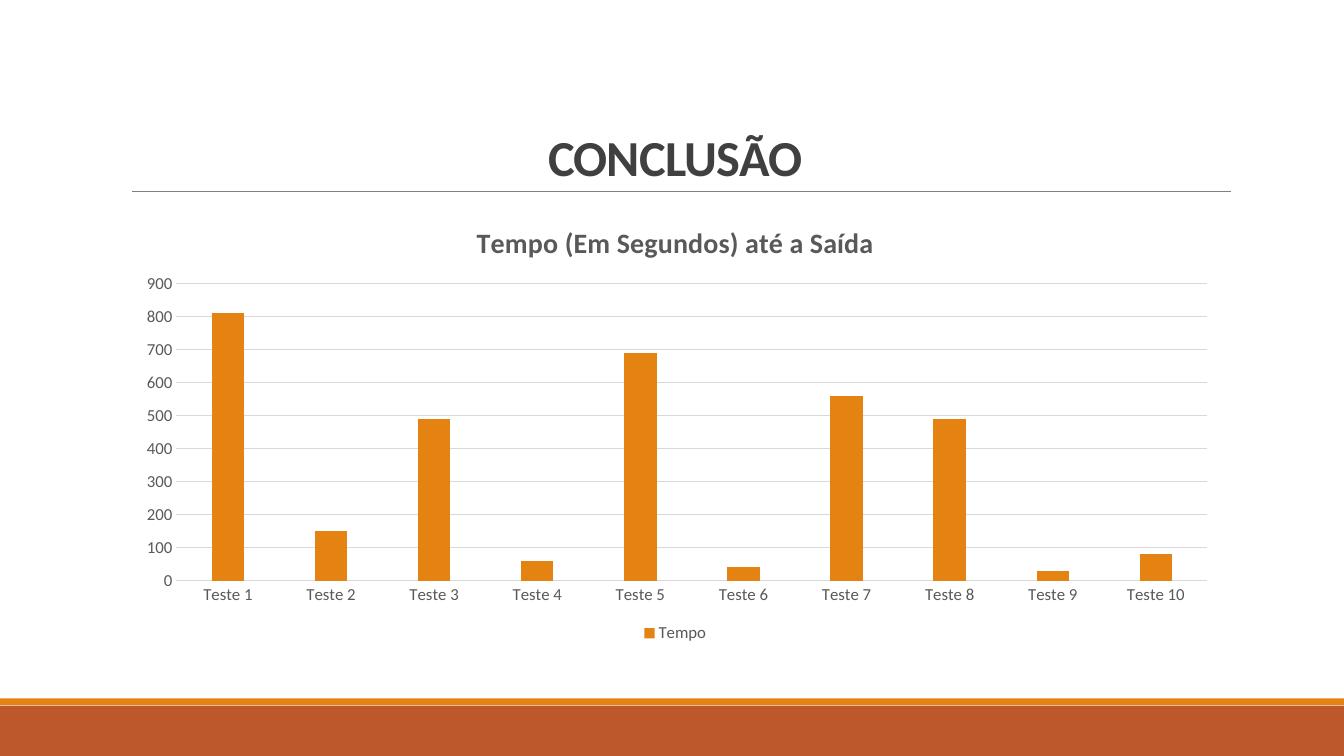
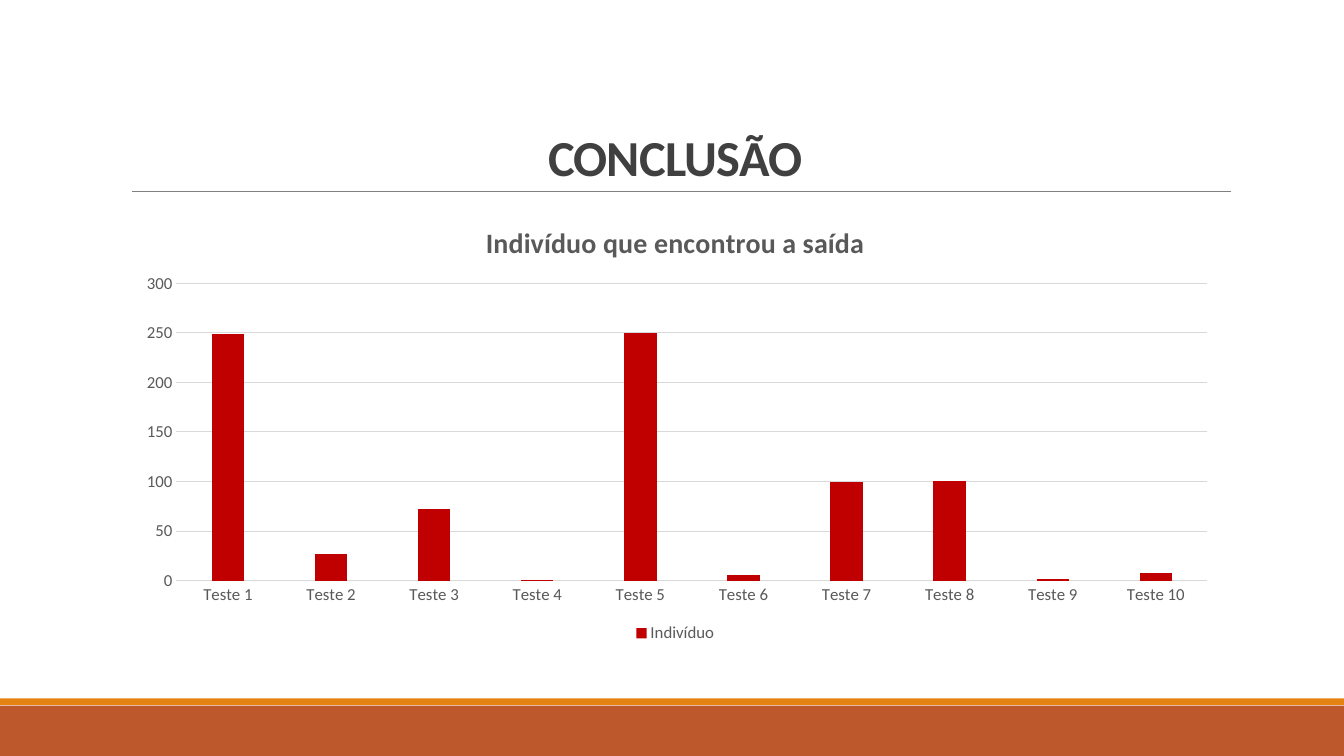
from lxml.etree import SubElement
from pptx import Presentation
from pptx.chart.data import CategoryChartData
from pptx.dml.color import RGBColor
from pptx.enum.chart import XL_CHART_TYPE, XL_LEGEND_POSITION, XL_TICK_MARK
from pptx.enum.shapes import MSO_CONNECTOR, MSO_SHAPE
from pptx.enum.text import MSO_ANCHOR, PP_ALIGN
from pptx.oxml import parse_xml
from pptx.oxml.ns import nsdecls, qn
from pptx.util import Cm, Pt

FONT = "Calibri"
ORANGE = RGBColor(0xE4, 0x83, 0x12)
RUST = RGBColor(0xBD, 0x58, 0x2C)
RED = RGBColor(0xC0, 0x00, 0x00)
DARK = RGBColor(0x40, 0x40, 0x40)
GRAY = RGBColor(0x59, 0x59, 0x59)
RULE = RGBColor(0x80, 0x80, 0x80)
GRID = RGBColor(0xD9, 0xD9, 0xD9)

WIDTH, HEIGHT = Cm(33.87), Cm(19.05)
LEFT, SPAN = Cm(3.05), Cm(27.94)
TESTS = [f"Teste {n}" for n in range(1, 11)]

# Chart title, series name, bar colour, values
CHARTS = [
    ("Tempo (Em Segundos) até a Saída", "Tempo", ORANGE,
     [810, 150, 490, 60, 690, 40, 560, 490, 30, 80]),
    ("Indivíduo que encontrou a saída", "Indivíduo", RED,
     [249, 27, 72, 1, 250, 6, 99, 100, 2, 8]),
]


def style(font, size, color, bold=False):
    font.name, font.size, font.bold = FONT, Pt(size), bold
    font.color.rgb = color


def add_text(frame, text, size=12, color=GRAY, bold=False, align=None,
             lines=None, track=None):
    para = frame.paragraphs[0]
    para.alignment, para.line_spacing = align, lines
    run = para.add_run()
    run.text = text
    style(run.font, size, color, bold)
    if track is not None:
        run.font._element.set("spc", str(int(track * 100)))


def add_band(slide, top, height, color):
    band = slide.shapes.add_shape(MSO_SHAPE.RECTANGLE, 0, top, WIDTH, height)
    band.shadow.inherit = False
    band.fill.solid()
    band.fill.fore_color.rgb = color
    band.line.fill.background()


def add_rule(slide, start, end, top):
    rule = slide.shapes.add_connector(MSO_CONNECTOR.STRAIGHT, start, top, end, top)
    rule.line.color.rgb = RULE
    rule.line.width = Pt(0.5)
    SubElement(rule._element.spPr, qn("a:effectLst"))


def add_title(slide, text):
    box = slide.shapes.add_textbox(LEFT, Cm(0.79), SPAN, Cm(4.04))
    frame = box.text_frame
    frame.word_wrap = True
    frame.vertical_anchor = MSO_ANCHOR.BOTTOM
    add_text(frame, text, size=36, color=DARK, bold=True,
             align=PP_ALIGN.CENTER, lines=0.85, track=-0.5)


def add_frame(slide):
    add_band(slide, Cm(17.78), Cm(1.27), RUST)
    add_band(slide, Cm(17.6), Cm(0.17), ORANGE)
    add_rule(slide, Cm(3.33), Cm(31.01), Cm(4.83))
    add_title(slide, "CONCLUSÃO")


def set_plot(chart, x, y, w, h):
    """Fix the inner plot area, in shares of the chart."""
    area = chart._chartSpace.chart.plotArea
    for old in area.findall(qn("c:layout")):
        area.remove(old)
    sizes = "".join(f'<c:{key} val="{val}"/>'
                    for key, val in zip("xywh", (x, y, w, h)))
    area.insert(0, parse_xml(
        f'<c:layout {nsdecls("c")}><c:manualLayout>'
        '<c:layoutTarget val="inner"/><c:xMode val="edge"/>'
        f'<c:yMode val="edge"/>{sizes}</c:manualLayout></c:layout>'))


def set_axes(chart):
    for axis in (chart.category_axis, chart.value_axis):
        axis.major_tick_mark = axis.minor_tick_mark = XL_TICK_MARK.NONE
        style(axis.tick_labels.font, 12, GRAY)
    grid = chart.value_axis.major_gridlines.format.line
    for line in (chart.category_axis.format.line, grid):
        line.color.rgb = GRID
        line.width = Pt(0.75)
    chart.value_axis.format.line.fill.background()


def add_bars(slide, title, name, color, values):
    data = CategoryChartData()
    data.categories = TESTS
    data.add_series(name, values)
    chart = slide.shapes.add_chart(XL_CHART_TYPE.COLUMN_CLUSTERED, LEFT,
                                   Cm(5.13), SPAN, Cm(11.18), data).chart
    style(chart.font, 10, GRAY)
    add_text(chart.chart_title.text_frame, title, size=20, bold=True)
    chart.chart_title.include_in_layout = False
    # Bars
    plot = chart.plots[0]
    plot.vary_by_categories = False
    plot.gap_width, plot.overlap = 219, -27
    fill = plot.series[0].format.fill
    fill.solid()
    fill.fore_color.rgb = color
    # Axes and legend
    set_axes(chart)
    chart.has_legend = True
    chart.legend.position = XL_LEGEND_POSITION.BOTTOM
    chart.legend.include_in_layout = False
    style(chart.legend.font, 12, GRAY)
    set_plot(chart, 0.05, 0.18, 0.93, 0.67)


def main():
    deck = Presentation()
    deck.slide_width, deck.slide_height = WIDTH, HEIGHT
    for spec_row in CHARTS:
        slide = deck.slides.add_slide(deck.slide_layouts[6])
        add_frame(slide)
        add_bars(slide, *spec_row)
    deck.save("out.pptx")


if __name__ == "__main__":
    main()
